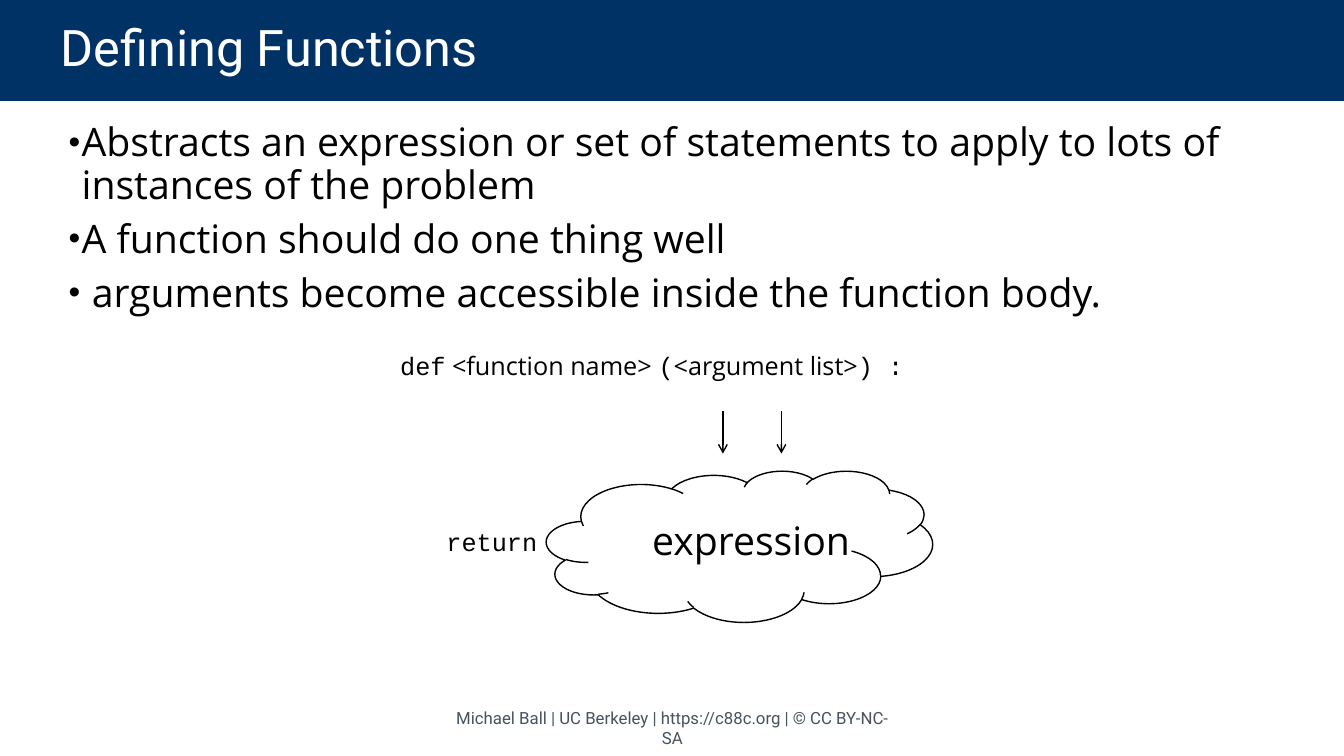
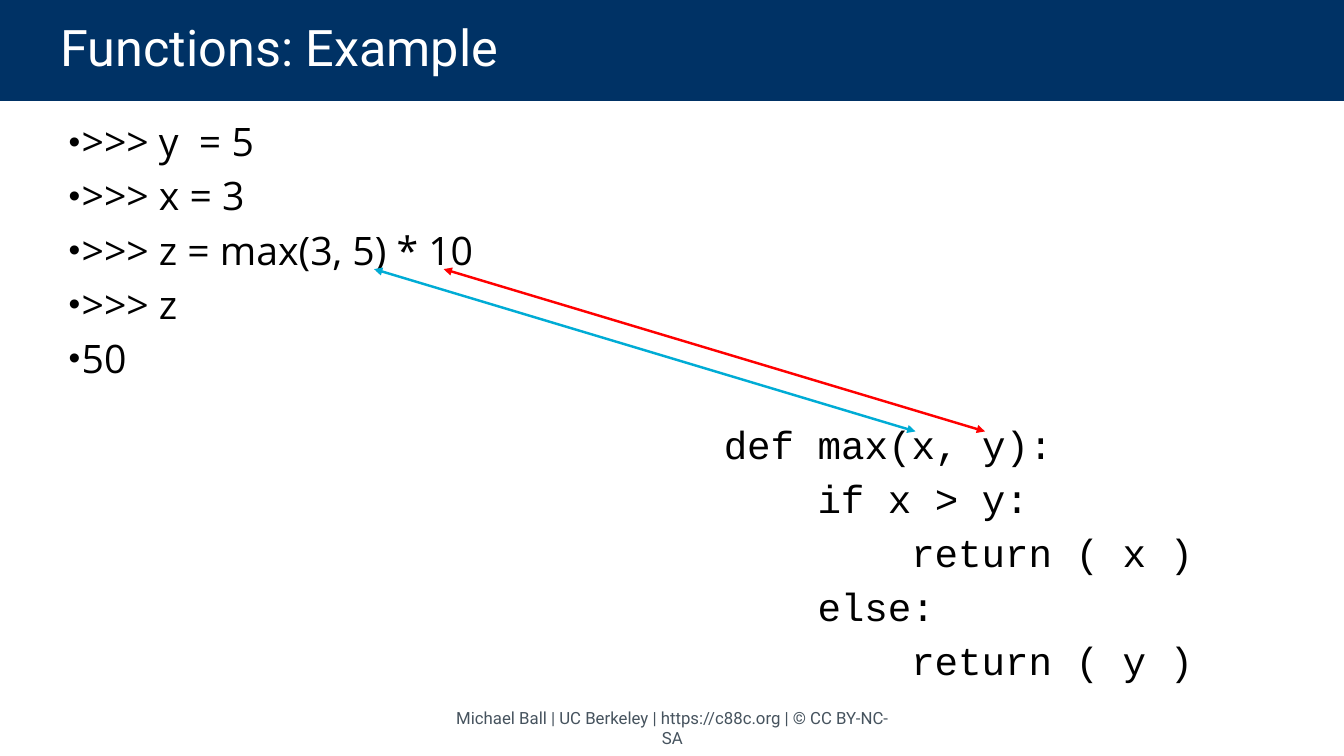
from lxml.etree import SubElement
from pptx import Presentation
from pptx.dml.color import RGBColor
from pptx.enum.shapes import MSO_CONNECTOR, MSO_SHAPE
from pptx.enum.text import MSO_ANCHOR, MSO_AUTO_SIZE, PP_ALIGN
from pptx.oxml.ns import qn
from pptx.util import Inches, Pt

NAVY = RGBColor(0x00, 0x32, 0x65)
WHITE = RGBColor(0xFF, 0xFF, 0xFF)
BLACK = RGBColor(0x00, 0x00, 0x00)
SLATE = RGBColor(0x46, 0x53, 0x5E)
CYAN = RGBColor(0x00, 0xAC, 0xD5)
RED = RGBColor(0xFF, 0x00, 0x00)
HEADING, BODY, CODE = "Roboto", "Open Sans", "Courier New"

FOOTER = "Michael Ball | UC Berkeley | https://c88c.org | © CC BY-NC-SA"

DEFINING = [
    "Abstracts an expression or set of statements to apply to lots of instances of the problem",
    "A function should do one thing well",
    " arguments become accessible inside the function body.",
]
SIGNATURE = [
    ("def", CODE),
    (" <function name> ", BODY),
    ("(", CODE),
    ("<argument list>", BODY),
    (") :", CODE),
]
ARGUMENT_XS = [7.17, 7.75]

EXAMPLE = [">>> y  = 5", ">>> x = 3", ">>> z = max(3, 5) * 10", ">>> z", "50"]
MAX_CODE = [
    (0, "def max(x, y):"),
    (1, "if x > y:"),
    (2, "return ( x )"),
    (1, "else:"),
    (2, "return ( y )"),
]
CODE_INDENT = 0.93
BINDINGS = [(3.71, CYAN), (4.4, RED)]
BINDING_RUN = 5.37


def style(font, name, size, color=BLACK):
    font.name, font.size, font.color.rgb = name, Pt(size), color


def place(shape, left, top, width, height):
    shape.left, shape.top = Inches(left), Inches(top)
    shape.width, shape.height = Inches(width), Inches(height)


def space_lines(paragraph, left=0, hanging=0):
    paragraph.line_spacing = 0.9
    properties = paragraph._p.get_or_add_pPr()
    properties.set("marL", str(Inches(left)))
    properties.set("indent", str(-Inches(hanging)))
    before = SubElement(properties, qn("a:spcBef"))
    SubElement(before, qn("a:spcPct"), val="30000")
    return properties


def add_label(slide, box, runs, size, wrap=False):
    label = slide.shapes.add_textbox(*map(Inches, box))
    label.text_frame.word_wrap = wrap
    paragraph = label.text_frame.paragraphs[0]
    for text, name in runs:
        run = paragraph.add_run()
        run.text = text
        style(run.font, name, size)
    return label


def add_arrow(slide, start, end, color, width, **ends):
    arrow = slide.shapes.add_connector(
        MSO_CONNECTOR.STRAIGHT, *map(Inches, start + end))
    arrow.line.color.rgb = color
    arrow.line.width = Pt(width)
    line = arrow.line._get_or_add_ln()
    for end_tag, kind in ends.items():
        SubElement(line, qn("a:" + end_tag), type=kind)
    SubElement(arrow._element.spPr, qn("a:effectLst"))


def style_layout(layout):
    title, body = layout.placeholders[0], layout.placeholders[1]
    place(title, 0, 0, 13.33, 1)
    title.fill.solid()
    title.fill.fore_color.rgb = NAVY
    place(body, 0.58, 1.17, 12.27, 5.75)


def add_slide(deck, heading, bullets):
    slide = deck.slides.add_slide(deck.slide_layouts[1])
    title = slide.shapes.title.text_frame
    title.text = heading
    title.auto_size = MSO_AUTO_SIZE.NONE
    title.vertical_anchor = MSO_ANCHOR.MIDDLE
    title.margin_left, title.margin_right = Inches(0.6), Inches(1)
    title.paragraphs[0].alignment = PP_ALIGN.LEFT
    title.paragraphs[0].line_spacing = 0.9
    style(title.paragraphs[0].font, HEADING, 36, WHITE)

    body = slide.placeholders[1].text_frame
    body.text = "\n".join(bullets)
    body.auto_size = MSO_AUTO_SIZE.NONE
    for paragraph in body.paragraphs:
        properties = space_lines(paragraph, 0.13, 0.13)
        SubElement(properties, qn("a:buSzPct"), val="85000")
        SubElement(properties, qn("a:buChar"), char="•")
        style(paragraph.font, BODY, 28)
    return slide


def add_footer(slide):
    footer = slide.shapes.add_textbox(*map(Inches, (4.42, 7.02, 4.5, 0.4))).text_frame
    footer.word_wrap = True
    footer.vertical_anchor = MSO_ANCHOR.MIDDLE
    footer.text = FOOTER
    footer.paragraphs[0].alignment = PP_ALIGN.CENTER
    style(footer.paragraphs[0].font, HEADING, 12, SLATE)


def build_defining(deck):
    slide = add_slide(deck, "Defining Functions", DEFINING)
    add_label(slide, (6.37, 5.07, 2.18, 0.57), [("expression", BODY)], 28)
    cloud = slide.shapes.add_shape(
        MSO_SHAPE.CLOUD, *map(Inches, (5.42, 4.67, 3.83, 1.5)))
    cloud.shadow.inherit = False
    cloud.fill.background()
    cloud.line.color.rgb = BLACK
    cloud.line.width = Pt(1)
    add_label(slide, (3.87, 3.43, 5.38, 0.4), SIGNATURE, 18)
    add_label(slide, (4.33, 5.17, 1.11, 0.4), [("return", CODE)], 18)
    for x in ARGUMENT_XS:
        add_arrow(slide, (x, 4.08), (x, 4.5), BLACK, 1, tailEnd="arrow")
    add_footer(slide)


def build_example(deck):
    slide = add_slide(deck, "Functions: Example", EXAMPLE)
    code = slide.shapes.add_textbox(*map(Inches, (7.08, 4.17, 6.25, 2.85))).text_frame
    code.word_wrap = True
    code.text = "\n".join(text for _, text in MAX_CODE)
    for paragraph, (level, _) in zip(code.paragraphs, MAX_CODE):
        space_lines(paragraph, level * CODE_INDENT)
        style(paragraph.font, CODE, 28)
    for x, color in BINDINGS:
        add_arrow(slide, (x, 2.67), (x + BINDING_RUN, 4.28), color, 1.75,
                  headEnd="triangle", tailEnd="triangle")
    add_footer(slide)


def main():
    deck = Presentation()
    deck.slide_width, deck.slide_height = Inches(13.33), Inches(7.5)
    style_layout(deck.slide_layouts[1])
    build_defining(deck)
    build_example(deck)
    deck.save("out.pptx")


if __name__ == "__main__":
    main()
